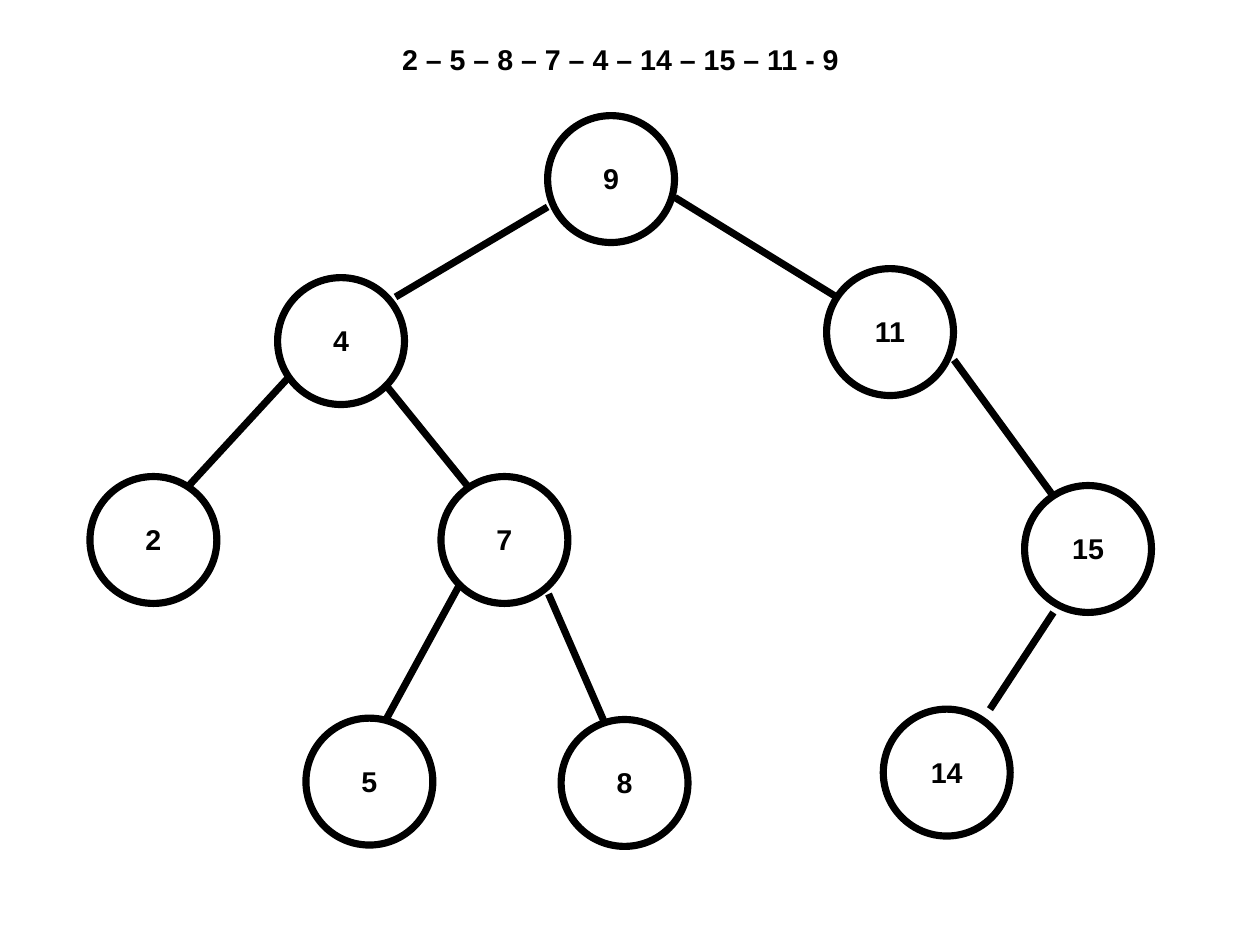
from lxml.etree import SubElement
from pptx import Presentation
from pptx.dml.color import RGBColor
from pptx.enum.shapes import MSO_CONNECTOR, MSO_SHAPE
from pptx.enum.text import MSO_ANCHOR, MSO_AUTO_SIZE, PP_ALIGN
from pptx.oxml.ns import qn
from pptx.util import Inches, Pt

SLIDE_WIDTH, SLIDE_HEIGHT = Pt(793.75), Pt(595.25)
COLUMNS, ROWS = 28, 21
DIAMETER = 2.82
STROKE = Pt(4.5)
INK, PAPER = "000000", "FFFFFF"

TRAVERSAL = "2 – 5 – 8 – 7 – 4 – 14 – 15 – 11 - 9"

# Key: (column, row) of the node's centre
NODES = {
    9: (13.58, 3.98),
    4: (7.58, 7.58),
    11: (19.78, 7.38),
    2: (3.41, 12),
    7: (11.21, 12),
    15: (24.18, 12.2),
    5: (8.21, 17.37),
    8: (13.88, 17.4),
    14: (21.04, 17.17),
}

# (parent, child): where the branch leaves the parent and meets the child
BRANCHES = {
    (9, 4): ((12.17, 4.6), (8.79, 6.6)),
    (9, 11): ((15, 4.39), (18.59, 6.6)),
    (4, 2): ((6.4, 8.4), (4.19, 10.8)),
    (4, 7): ((8.61, 8.6), (10.39, 10.8)),
    (7, 5): ((10.21, 13), (8.59, 15.97)),
    (7, 8): ((12.19, 13.2), (13.41, 16)),
    (11, 15): ((21.2, 8), (23.39, 11)),
    (15, 14): ((23.41, 13.61), (22, 15.76)),
}


def color(hex_code):
    return RGBColor.from_string(hex_code)


def grid(column, row):
    """Turn grid columns and rows into slide lengths."""
    return round(SLIDE_WIDTH * column / COLUMNS), round(SLIDE_HEIGHT * row / ROWS)


def write(shape, text, *, align=PP_ALIGN.CENTER, anchor=MSO_ANCHOR.MIDDLE,
          wrap=False, insets=(0.13, 0.1, 0.13, 0.08), size=18):
    frame = shape.text_frame
    frame.text = text
    frame.auto_size = MSO_AUTO_SIZE.NONE
    frame.word_wrap = wrap
    frame.vertical_anchor = anchor
    (frame.margin_left, frame.margin_top,
     frame.margin_right, frame.margin_bottom) = map(Inches, insets)
    paragraph = frame.paragraphs[0]
    paragraph.alignment = align
    paragraph.line_spacing = 0.93
    font = paragraph.runs[0].font
    font.name, font.size, font.bold = "Arial", Pt(size), True
    font.color.rgb = color(INK)


def add_heading(slide):
    heading = slide.shapes.title
    heading.left, heading.top = grid(8.68, 0.83)
    heading.width, heading.height = grid(10.52, 0.97)
    write(heading, TRAVERSAL, align=PP_ALIGN.LEFT, anchor=MSO_ANCHOR.TOP,
          wrap=True, insets=(0.1, 0.07, 0.1, 0.05))


def add_node(slide, key, column, row):
    corner = grid(column - DIAMETER / 2, row - DIAMETER / 2)
    node = slide.shapes.add_shape(MSO_SHAPE.OVAL, *corner, *grid(DIAMETER, DIAMETER))
    node.shadow.inherit = False
    node.fill.solid()
    node.fill.fore_color.rgb = color(PAPER)
    node.line.color.rgb = color(INK)
    node.line.width = STROKE
    write(node, str(key))


def add_branch(slide, start, end):
    branch = slide.shapes.add_connector(
        MSO_CONNECTOR.STRAIGHT, *grid(*start), *grid(*end))
    branch.line.color.rgb = color(INK)
    branch.line.width = STROKE
    SubElement(branch.element.spPr, qn("a:effectLst"))


def main():
    deck = Presentation()
    deck.slide_width, deck.slide_height = SLIDE_WIDTH, SLIDE_HEIGHT
    title_only = deck.slide_layouts[5]
    slide = deck.slides.add_slide(title_only)
    add_heading(slide)
    for key, center in NODES.items():
        add_node(slide, key, *center)
    for start, end in BRANCHES.values():
        add_branch(slide, start, end)
    deck.save("out.pptx")


if __name__ == "__main__":
    main()
